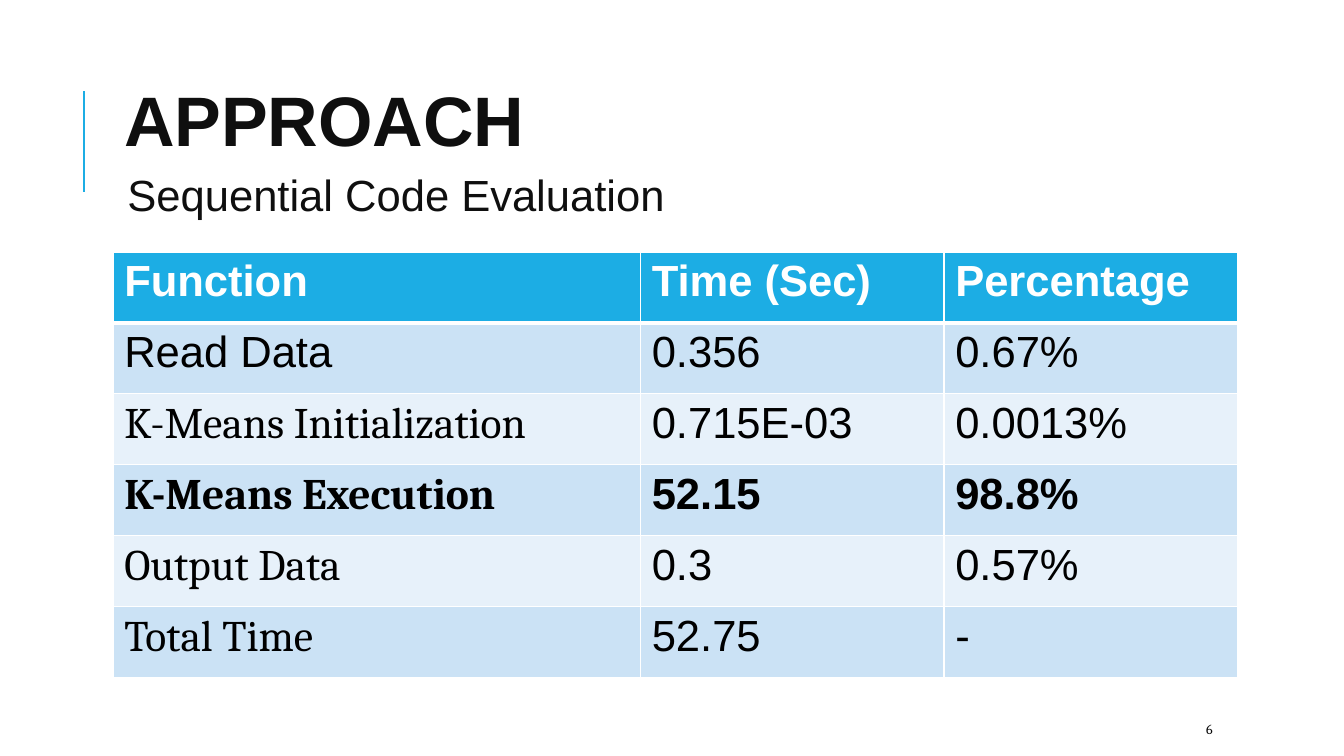
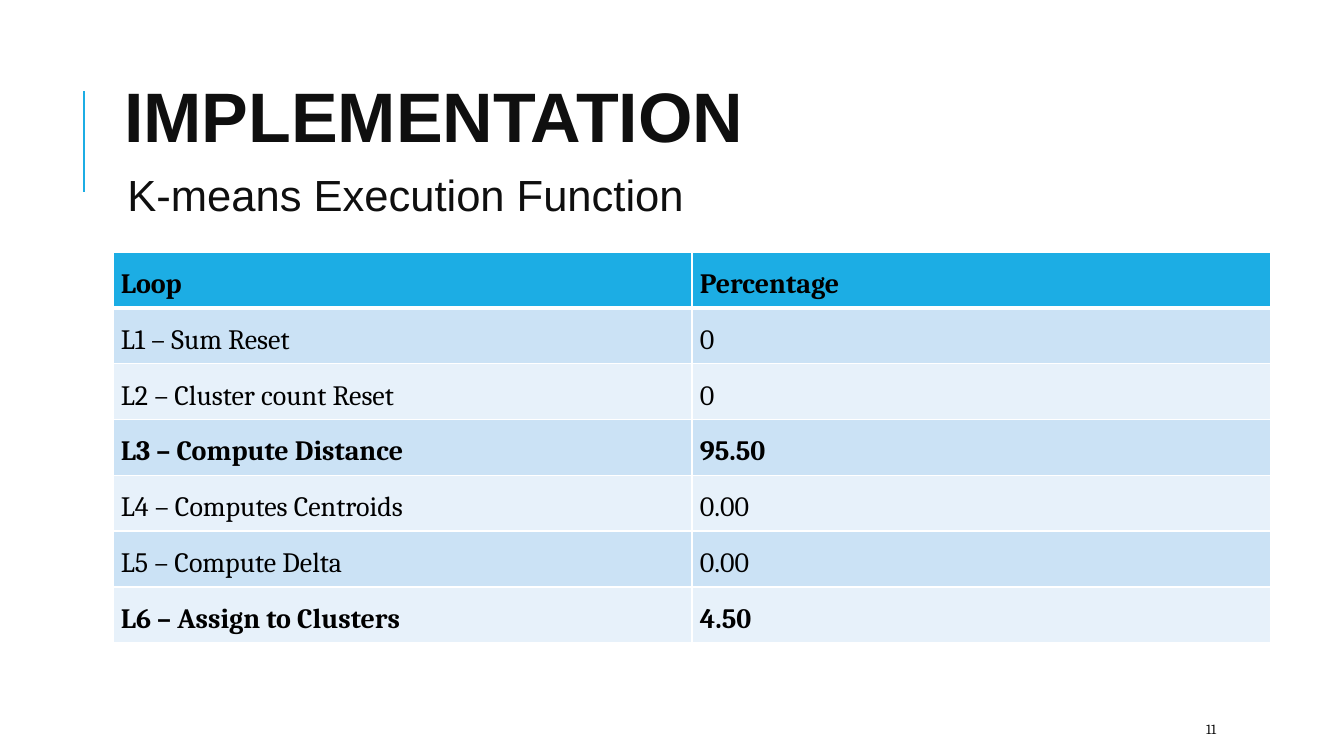
"""Build two slides of timing tables that share a title, subtitle and page number style."""
from dataclasses import dataclass

from lxml import etree
from pptx import Presentation
from pptx.dml.color import RGBColor
from pptx.enum.shapes import MSO_CONNECTOR
from pptx.enum.text import MSO_ANCHOR, MSO_AUTO_SIZE, PP_ALIGN
from pptx.oxml.ns import qn
from pptx.util import Inches, Pt

STRAIGHT = MSO_CONNECTOR.STRAIGHT
TOP, MIDDLE = MSO_ANCHOR.TOP, MSO_ANCHOR.MIDDLE
FIT_SHAPE = MSO_AUTO_SIZE.SHAPE_TO_FIT_TEXT
JUSTIFY = PP_ALIGN.JUSTIFY
SANS, SERIF = "Arial", "Cambria"
COLORS = {
    "accent": "1CADE4",
    "band_dark": "CBE2F5",
    "band_light": "E7F1FA",
    "white": "FFFFFF",
    "black": "000000",
    "title": "0F0F0F",
    "number": "0C0C0C",
}
TABLE_LEFT, TABLE_TOP = 1.01, 2.25


@dataclass(frozen=True)
class Font:
    name: str
    size: float
    color: str
    bold: bool = False


@dataclass(frozen=True)
class TableStyle:
    size: float
    header_color: str
    label_font: str
    value_font: str
    margin_x: float
    margin_y: float
    align: PP_ALIGN | None = None
    spacing: float | None = None


@dataclass(frozen=True)
class TableSpec:
    columns: tuple[float, ...]
    height: float
    rows: tuple[tuple[str, ...], ...]
    bold_rows: tuple[int, ...]
    sans_rows: tuple[int, ...]
    style: TableStyle


@dataclass(frozen=True)
class SlideSpec:
    title: str
    title_top: float
    title_height: float
    subtitle: str
    number: str
    table: TableSpec


TITLE = Font(SANS, 45, "title", True)
SUBTITLE = Font(SANS, 28, "title")
NUMBER = Font(SERIF, 9, "number")

SLIDES = (
    SlideSpec(
        "APPROACH", 0.21, 1.84, "Sequential Code Evaluation", "6",
        TableSpec(
            (4.71, 2.71, 2.62), 3.8,
            (
                ("Function", "Time (Sec)", "Percentage"),
                ("Read Data", "0.356", "0.67%"),
                ("K-Means Initialization", "0.715E-03", "0.0013%"),
                ("K-Means Execution", "52.15", "98.8%"),
                ("Output Data", "0.3", "0.57%"),
                ("Total Time", "52.75", "-"),
            ),
            (0, 3), (0, 1),
            TableStyle(28, "white", SERIF, SANS, 0.1, 0.05),
        ),
    ),
    SlideSpec(
        "IMPLEMENTATION", 0.58, 1.02, "K-means Execution Function", "11",
        TableSpec(
            (5.17, 5.17), 3.49,
            (
                ("Loop", "Percentage"),
                ("L1 – Sum Reset", "0"),
                ("L2 – Cluster count Reset", "0"),
                ("L3 – Compute Distance", "95.50"),
                ("L4 – Computes Centroids", "0.00"),
                ("L5 – Compute Delta", "0.00"),
                ("L6 – Assign to Clusters", "4.50"),
            ),
            (0, 3, 6), (),
            TableStyle(18, "black", SERIF, SERIF, 0.07, 0, JUSTIFY, 1.5),
        ),
    ),
)


def rgb(name: str) -> RGBColor:
    return RGBColor.from_string(COLORS[name])


def add_run(p, text: str, font: Font) -> None:
    r = p.add_run()
    r.text = text
    r.font.name = font.name
    r.font.size = Pt(font.size)
    r.font.bold = font.bold
    r.font.color.rgb = rgb(font.color)


def add_text(s, box: tuple[float, ...], text: str, font: Font,
             anchor=TOP, spacing: float | None = None):
    tf = s.shapes.add_textbox(*map(Inches, box)).text_frame
    tf.word_wrap = True
    tf.vertical_anchor = anchor
    p = tf.paragraphs[0]
    p.line_spacing = spacing
    add_run(p, text, font)
    return tf


def add_accent_line(s) -> None:
    line = s.shapes.add_connector(
        STRAIGHT, Inches(0.75), Inches(1.71), Inches(0.75), Inches(0.81))
    line.line.color.rgb = rgb("accent")
    line.line.width = Pt(1.5)
    etree.SubElement(line._element.spPr, qn("a:effectLst"))


def add_borders(cell, row: int) -> None:
    tc_pr = cell._tc.get_or_add_tcPr()
    widths = {"L": 1, "R": 1, "T": 3 if row == 1 else 1, "B": 3 if row == 0 else 1}
    for i, (side, width) in enumerate(widths.items()):
        ln = etree.Element(qn(f"a:ln{side}"), w=str(Pt(width)))
        fill = etree.SubElement(ln, qn("a:solidFill"))
        etree.SubElement(fill, qn("a:srgbClr"), val=COLORS["white"])
        tc_pr.insert(i, ln)


def fill_cell(cell, spec: TableSpec, row: int, col: int) -> None:
    style = spec.style
    cell.margin_left = cell.margin_right = Inches(style.margin_x)
    cell.margin_top = cell.margin_bottom = Inches(style.margin_y)
    band = "band_dark" if row % 2 else "band_light"
    cell.fill.solid()
    cell.fill.fore_color.rgb = rgb("accent" if row == 0 else band)
    add_borders(cell, row)
    is_label = col == 0 and row not in spec.sans_rows
    name = style.label_font if is_label else style.value_font
    color = style.header_color if row == 0 else "black"
    p = cell.text_frame.paragraphs[0]
    p.alignment = style.align
    p.line_spacing = style.spacing
    add_run(p, spec.rows[row][col], Font(name, style.size, color, row in spec.bold_rows))


def add_data_table(s, spec: TableSpec) -> None:
    count = len(spec.rows)
    table = s.shapes.add_table(
        count, len(spec.columns), Inches(TABLE_LEFT), Inches(TABLE_TOP),
        Inches(sum(spec.columns)), Inches(spec.height)).table
    for column, width in zip(table.columns, spec.columns):
        column.width = Inches(width)
    for row, table_row in enumerate(table.rows):
        table_row.height = Inches(spec.height / count)
        for col, cell in enumerate(table_row.cells):
            fill_cell(cell, spec, row, col)


def add_slide(prs, spec: SlideSpec) -> None:
    s = prs.slides.add_slide(prs.slide_layouts[6])
    add_accent_line(s)
    add_text(s, (1.01, spec.title_top, 9.57, spec.title_height),
             spec.title, TITLE, MIDDLE, 0.8)
    add_data_table(s, spec.table)
    add_text(s, (10.67, 6.37, 0.96, 0.27), spec.number, NUMBER, MIDDLE)
    tf = add_text(s, (1.04, 1.45, 5.64, 0.57), spec.subtitle, SUBTITLE)
    tf.auto_size = FIT_SHAPE


def main() -> None:
    prs = Presentation()
    prs.slide_width, prs.slide_height = Inches(12), Inches(6.75)
    for spec in SLIDES:
        add_slide(prs, spec)
    prs.save("out.pptx")


if __name__ == "__main__":
    main()
